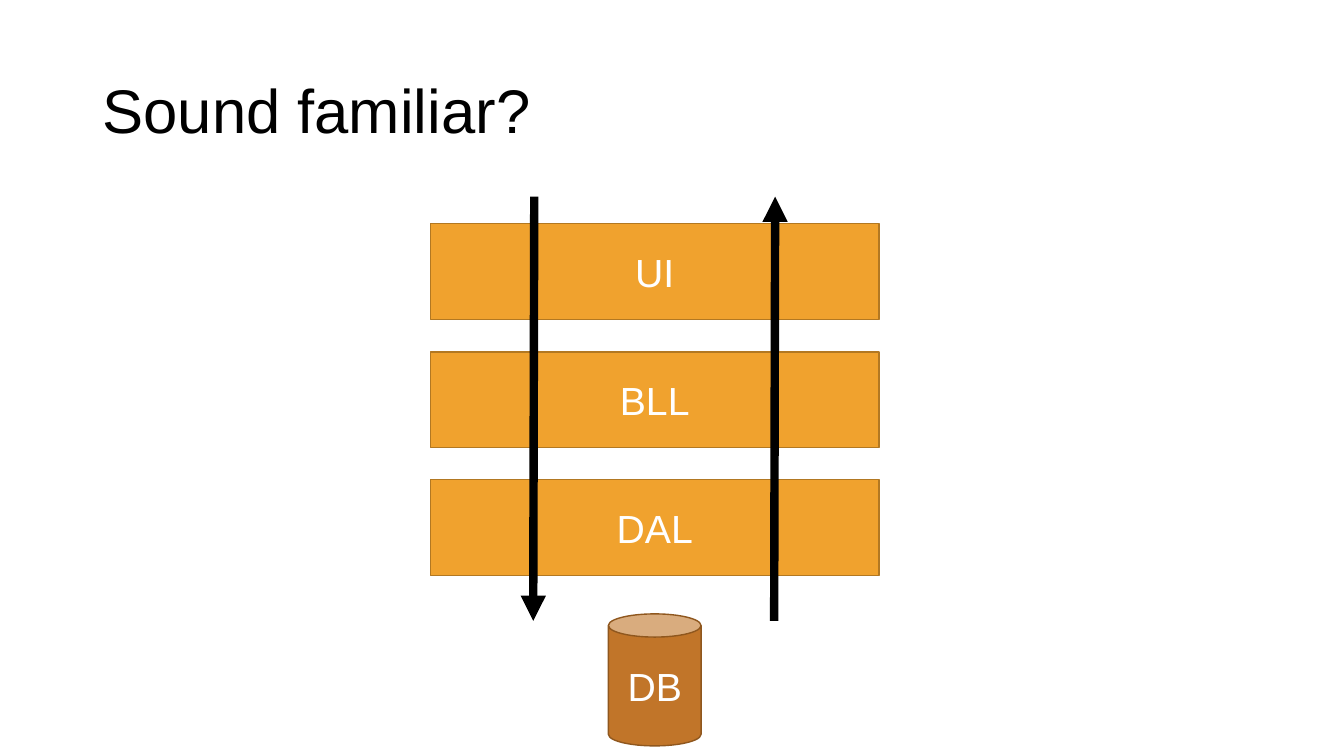
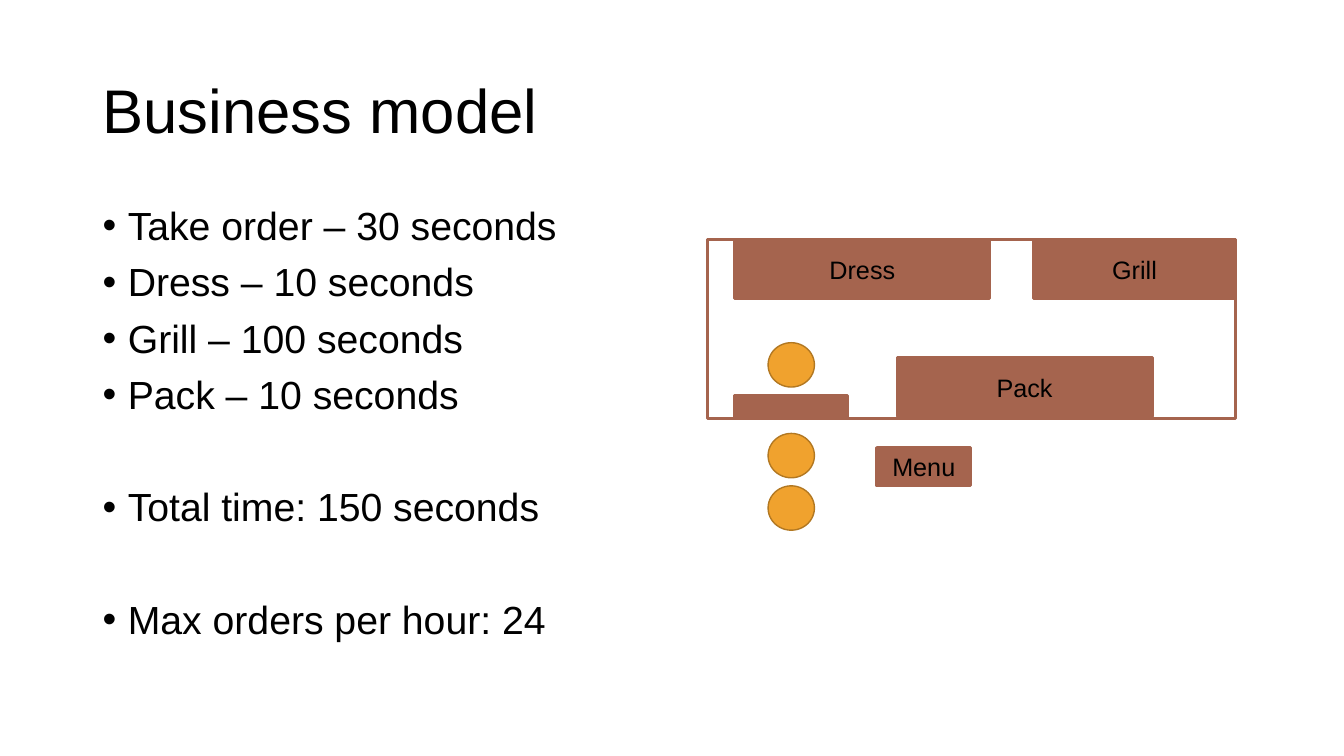
from dataclasses import dataclass

from lxml import etree
from pptx import Presentation
from pptx.dml.color import RGBColor
from pptx.enum.shapes import MSO_CONNECTOR, MSO_SHAPE
from pptx.enum.text import MSO_ANCHOR, PP_ALIGN
from pptx.oxml.ns import qn
from pptx.util import Inches, Pt

RECTANGLE, OVAL, CAN = MSO_SHAPE.RECTANGLE, MSO_SHAPE.OVAL, MSO_SHAPE.CAN
STRAIGHT = MSO_CONNECTOR.STRAIGHT
TOP, MIDDLE = MSO_ANCHOR.TOP, MSO_ANCHOR.MIDDLE
LEFT, CENTER = PP_ALIGN.LEFT, PP_ALIGN.CENTER

# One grid cell is a tenth of an inch, on every slide
CELL = Inches(0.1)
COLUMNS, ROWS = 133.33, 75


class Theme:
    font = "Arial"
    title_size, body_size, label_size = 44, 28, 18
    line_spacing = 0.9
    ink, paper = "000000", "FFFFFF"
    # Shape styles: fill, line colour, line width
    layer = ("F0A22E", "B27822", 1)
    person = layer
    database = ("C17529", "8F571E", 1)
    room = (paper, "A5644E", 2.25)
    furniture = ("A5644E", "A5644E", 2.25)
    arrow_width = 6


@dataclass
class Box:
    """An area of the slide, measured in grid cells."""
    left: float
    top: float
    width: float
    height: float

    def area(self, column, row, columns, rows):
        return Box(self.left + column, self.top + row, columns, rows)

    def lengths(self):
        return [round(cells * CELL) for cells in
                (self.left, self.top, self.width, self.height)]


TITLE_BOX = Box(9.2, 4, 115, 14.5)
BODY_BOX = Box(9.2, 20, 115, 47.6)
STACK_BOX = Box(42.7, 19.5, 44.5, 54.5)
KITCHEN_BOX = Box(70.2, 23.8, 52.4, 28.8)


def set_all(target, values):
    for name, value in values.items():
        setattr(target, name, value)


def rgb(color):
    return RGBColor.from_string(color)


def write(para, text, size, color, **layout):
    set_all(para, layout)
    span = para.add_run()
    span.text = text
    set_all(span.font, {"name": Theme.font, "size": Pt(size)})
    span.font.color.rgb = rgb(color)


def add_text_frame(page, box, anchor):
    frame = page.shapes.add_textbox(*box.lengths()).text_frame
    set_all(frame, {"word_wrap": True, "vertical_anchor": anchor})
    return frame


def add_shape(shapes, kind, box, style, text="", size=Theme.label_size, color=Theme.ink):
    fill, line, width = style
    shape = shapes.add_shape(kind, *box.lengths())
    shape.shadow.inherit = False
    shape.fill.solid()
    shape.fill.fore_color.rgb = rgb(fill)
    shape.line.color.rgb = rgb(line)
    shape.line.width = Pt(width)
    if text:
        shape.text_frame.vertical_anchor = MIDDLE
        write(shape.text_frame.paragraphs[0], text, size, color, alignment=CENTER)


def add_arrow(page, start, end):
    points = [round(cells * CELL) for cells in (*start, *end)]
    arrow = page.shapes.add_connector(STRAIGHT, *points)
    arrow.line.color.rgb = rgb(Theme.ink)
    arrow.line.width = Pt(Theme.arrow_width)
    properties = arrow._element.spPr
    etree.SubElement(properties.find(qn("a:ln")), qn("a:tailEnd"), type="triangle")
    etree.SubElement(properties, qn("a:effectLst"))


def add_page(deck, title):
    page = deck.slides.add_slide(deck.slide_layouts[6])
    frame = add_text_frame(page, TITLE_BOX, MIDDLE)
    write(frame.paragraphs[0], title, Theme.title_size, Theme.ink,
          alignment=LEFT, line_spacing=Theme.line_spacing)
    return page


def add_bullets(page, box, groups):
    """Bulleted lines; a wider gap opens each group after the first."""
    frame = add_text_frame(page, box, TOP)
    para = None
    for group in groups:
        for index, text in enumerate(group):
            space = 0 if para is None else 10 if index else 50
            para = frame.paragraphs[0] if para is None else frame.add_paragraph()
            properties = para._p.get_or_add_pPr()
            properties.set("marL", str(Inches(0.25)))
            properties.set("indent", str(-Inches(0.25)))
            write(para, text, Theme.body_size, Theme.ink, alignment=LEFT,
                  line_spacing=Theme.line_spacing, space_before=Pt(space))
            etree.SubElement(properties, qn("a:buFont"), typeface=Theme.font)
            etree.SubElement(properties, qn("a:buChar"), char="•")


def add_layer_stack(page, box, layers, store):
    label = {"size": Theme.body_size, "color": Theme.paper}
    for index, name in enumerate(layers):
        bar = box.area(0, 2.7 + 12.7 * index, box.width, 9.5)
        add_shape(page.shapes, RECTANGLE, bar, Theme.layer, name, **label)
    # The database stands centred below the layers
    can = box.area((box.width - 9.2) / 2, box.height - 13.1, 9.2, 13.1)
    add_shape(page.shapes, CAN, can, Theme.database, store, **label)
    # Request goes down, response comes back up
    bottom = box.top + 42.1
    down, up = box.left + 10.3, box.left + 34.2
    add_arrow(page, (down, box.top), (down - 0.1, bottom))
    add_arrow(page, (up - 0.1, bottom), (up, box.top))


def add_kitchen(page, box):
    shapes = page.shapes.add_group_shape().shapes
    add_shape(shapes, RECTANGLE, box.area(0, 0, box.width, 17.7), Theme.room)
    # Order counter, with one person behind it and two in the queue
    add_shape(shapes, RECTANGLE, box.area(2.7, 15.4, 11.2, 2.3), Theme.furniture)
    for row in (10.2, 19.2, 24.4):
        add_shape(shapes, OVAL, box.area(6, row, 4.6, 4.4), Theme.person)
    # Work stations and the menu board
    stations = {
        "Dress": (2.7, 0, 25.3, 5.8),
        "Pack": (18.8, 11.7, 25.3, 5.8),
        "Grill": (32.3, 0, 20.1, 5.8),
        "Menu": (16.8, 20.6, 9.3, 3.8),
    }
    for name, place in stations.items():
        add_shape(shapes, RECTANGLE, box.area(*place), Theme.furniture, name)


def main():
    deck = Presentation()
    set_all(deck, {"slide_width": round(COLUMNS * CELL), "slide_height": ROWS * CELL})

    page = add_page(deck, "Sound familiar?")
    add_layer_stack(page, STACK_BOX, ["UI", "BLL", "DAL"], "DB")

    page = add_page(deck, "Business model")
    add_bullets(page, BODY_BOX, [
        ["Take order – 30 seconds", "Dress – 10 seconds",
         "Grill – 100 seconds", "Pack – 10 seconds"],
        ["Total time: 150 seconds"],
        ["Max orders per hour: 24"],
    ])
    add_kitchen(page, KITCHEN_BOX)

    deck.save("out.pptx")


if __name__ == "__main__":
    main()
